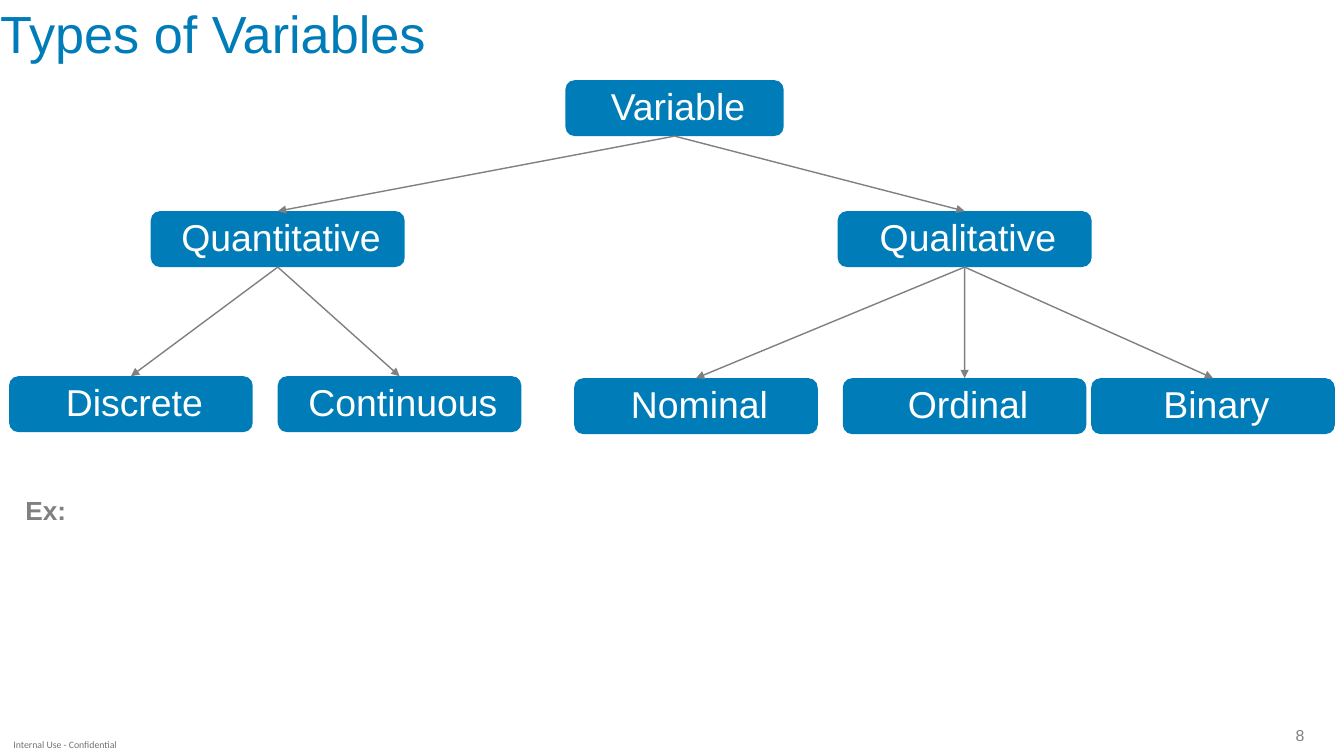
import pptx
import pptx.util
import pptx.dml.color
import pptx.enum.shapes
import pptx.enum.text
import pptx.oxml.ns
import lxml.etree

Cm = pptx.util.Cm
Align = pptx.enum.text.PP_ALIGN
Anchor = pptx.enum.text.MSO_ANCHOR
BLUE = "007DB8"
GRAY = "808080"


def color(value):
    return pptx.dml.color.RGBColor.from_string(value)


def write(shape, text, size, fill, font="Arial", bold=False, align=Align.LEFT,
          anchor=Anchor.MIDDLE, spacing=0.9, insets=(0, 0, 0, 0), wrap=True):
    frame = shape.text_frame
    frame.auto_size = pptx.enum.text.MSO_AUTO_SIZE.NONE
    frame.word_wrap = wrap
    frame.vertical_anchor = anchor
    frame.margin_left, frame.margin_top, frame.margin_right, frame.margin_bottom = map(Cm, insets)
    paragraph = frame.paragraphs[0]
    paragraph.alignment = align
    paragraph.line_spacing = spacing
    run = paragraph.add_run()
    run.text = text
    run.font.name = font
    run.font.size = pptx.util.Pt(size)
    run.font.bold = bold
    run.font.color.rgb = color(fill)


presentation = pptx.Presentation()
presentation.slide_width = Cm(33.87)
presentation.slide_height = Cm(19.05)
slide = presentation.slides.add_slide(presentation.slide_layouts[5])

title = slide.shapes.title
title.left, title.top, title.width, title.height = Cm(0), Cm(0.08), Cm(29.46), Cm(2.36)
write(title, "Types of Variables", 37.3, BLUE, anchor=Anchor.TOP, insets=(0, 0.13, 0, 0.13))

nodes = [
    ("Variable", None, 14.25, 2.02, 5.5),
    ("Quantitative", "Variable", 3.8, 5.32, 6.4),
    ("Qualitative", "Variable", 21.11, 5.32, 6.4),
    ("Discrete", "Quantitative", 0.23, 9.48, 6.14),
    ("Continuous", "Quantitative", 7, 9.48, 6.14),
    ("Nominal", "Qualitative", 14.47, 9.53, 6.14),
    ("Ordinal", "Qualitative", 21.24, 9.53, 6.14),
    ("Binary", "Qualitative", 27.5, 9.53, 6.14),
]
TOP_SITE, BOTTOM_SITE = 0, 2
boxes = {}
for name, parent, left, top, width in nodes:
    box = slide.shapes.add_shape(pptx.enum.shapes.MSO_SHAPE.ROUNDED_RECTANGLE,
                                 Cm(left), Cm(top), Cm(width), Cm(1.41))
    box.shadow.inherit = False
    box.fill.solid()
    box.fill.fore_color.rgb = color(BLUE)
    box.line.fill.background()
    write(box, name, 26.7, "FFFFFF", align=Align.CENTER, insets=(0.69, 0.51, 0.51, 0.51))
    boxes[name] = box
    if parent:
        arrow = slide.shapes.add_connector(pptx.enum.shapes.MSO_CONNECTOR.STRAIGHT, 0, 0, 0, 0)
        arrow.begin_connect(boxes[parent], BOTTOM_SITE)
        arrow.end_connect(box, TOP_SITE)
        arrow.line.color.rgb = color(GRAY)
        arrow.line.width = pptx.util.Pt(1)
        lxml.etree.SubElement(arrow.line._get_or_add_ln(), pptx.oxml.ns.qn("a:tailEnd"), type="triangle")
        lxml.etree.SubElement(arrow._element.spPr, pptx.oxml.ns.qn("a:effectLst"))

labels = [
    ("Ex:", (0.39, 12.32, 2.21, 1.07), 18.7, GRAY,
     dict(bold=True, anchor=Anchor.TOP, spacing=1, insets=(0.25, 0.13, 0.25, 0.13))),
    ("8", (32.39, 18.34, 0.48, 0.43), 11.3, GRAY, dict(align=Align.RIGHT, wrap=False)),
    ("Internal Use - Confidential", (0.34, 18.48, 3.3, 0.56), 7, "737373",
     dict(font="Calibri", spacing=1)),
]
for text, bounds, size, fill, options in labels:
    label = slide.shapes.add_textbox(*map(Cm, bounds))
    write(label, text, size, fill, **options)

presentation.save("out.pptx")
